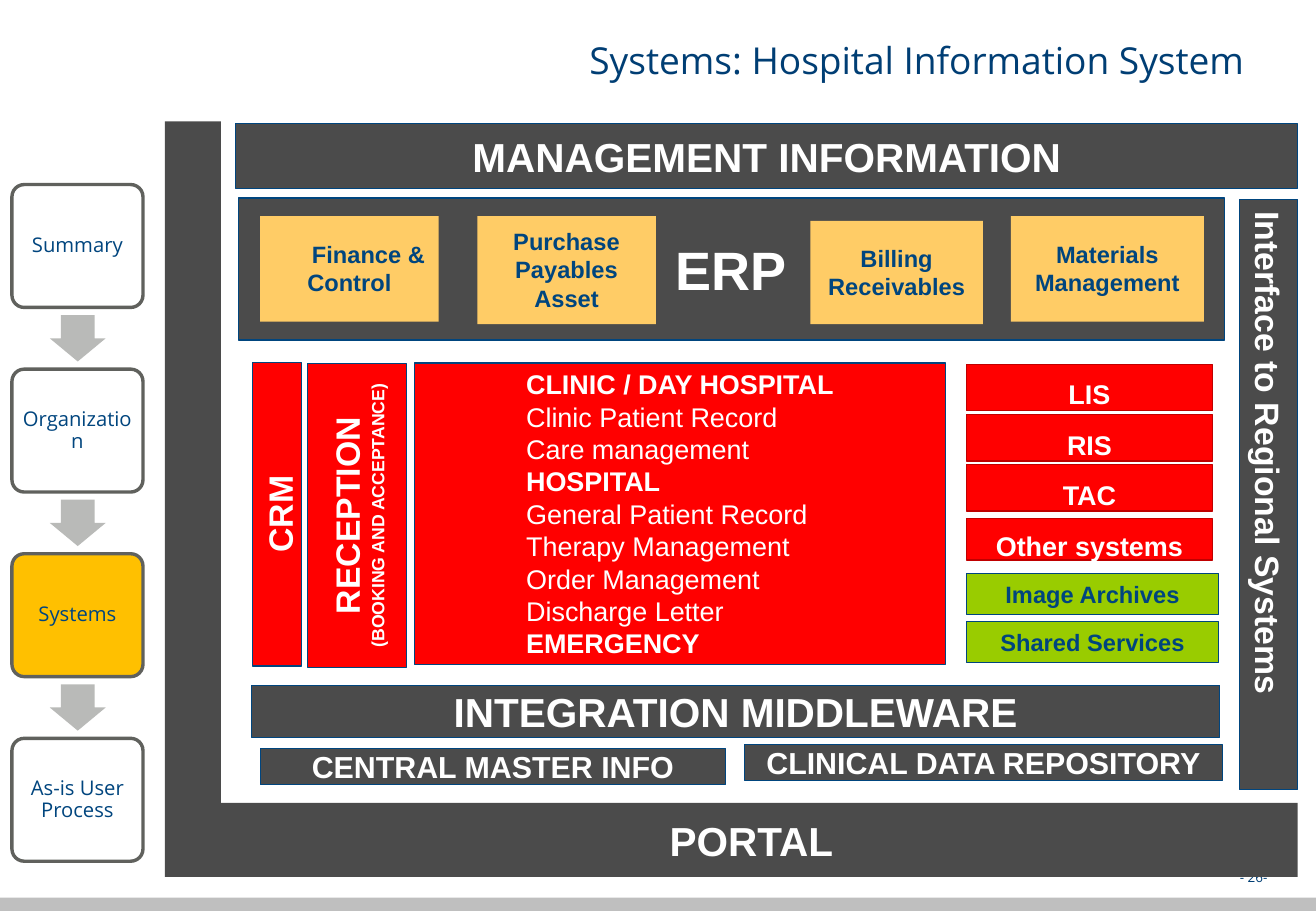
from pptx import Presentation
from pptx.util import Cm, Pt
from pptx.dml.color import RGBColor as RGB
from pptx.enum.shapes import MSO_SHAPE as Kind
from pptx.enum.text import PP_ALIGN as Align, MSO_ANCHOR as Anchor, MSO_AUTO_SIZE as Fit

WHITE = RGB(0xFF, 0xFF, 0xFF)
DARK = RGB(0x4B, 0x4B, 0x4B)
NAVY = RGB(0x00, 0x3E, 0x74)
BLUE = RGB(0x00, 0x45, 0x7E)
RED = RGB(0xFF, 0x00, 0x00)
WINE = RGB(0xC0, 0x00, 0x00)
SAND = RGB(0xFF, 0xCC, 0x66)
GREEN = RGB(0x99, 0xCC, 0x00)
AMBER = RGB(0xFF, 0xC0, 0x00)
EDGE = RGB(0x60, 0x61, 0x5D)
ARROW = RGB(0xB9, 0xBA, 0xB8)
STRIP = RGB(0xBF, 0xBF, 0xBF)
WIDE, HIGH = 27.51, 19.05


def write(shape, text, size=24, color=WHITE, bold=True, font="Arial", align=Align.CENTER,
          anchor=Anchor.MIDDLE, inset=(0, 0, 0, 0), space=None, indent=0):
    """Fill a shape with one paragraph per line of text."""
    frame = shape.text_frame
    frame.text = text
    frame.word_wrap = True
    frame.auto_size = Fit.NONE
    frame.vertical_anchor = anchor
    (frame.margin_left, frame.margin_top,
     frame.margin_right, frame.margin_bottom) = map(Cm, inset)
    for para in frame.paragraphs:
        para.alignment = align
        para.line_spacing = space
        if indent:
            para._p.get_or_add_pPr().set("indent", str(Cm(indent)))
        for run in para.runs:
            run.font.size = Pt(size)
            run.font.name = font
            run.font.bold = bold
            run.font.color.rgb = color
    return frame


def block(slide, x, y, w, h, fill=DARK, line=None, width=0.75, kind=Kind.RECTANGLE, turn=0):
    shape = slide.shapes.add_shape(kind, Cm(x), Cm(y), Cm(w), Cm(h))
    shape.shadow.inherit = False
    shape.fill.solid()
    shape.fill.fore_color.rgb = fill
    if line is None:
        shape.line.fill.background()
    else:
        shape.line.color.rgb = line
        shape.line.width = Pt(width)
    shape.rotation = turn
    return shape


def label(slide, text, x, y, w, h, fill=DARK, line=BLUE, turn=0, **style):
    shape = block(slide, x, y, w, h, fill, line, turn=turn)
    return write(shape, text, **style)


def header(slide, x, y, w, h):
    title = slide.shapes.title
    title.left, title.top, title.width, title.height = map(Cm, (x, y, w, h))
    write(title, "Systems: Hospital Information System", size=22, color=NAVY, bold=False,
          font="Open Sans", align=Align.RIGHT, anchor=Anchor.TOP,
          inset=(0.25, 0.1, 0.25, 0.1), space=1.05)


def footer(slide, x, y, w, h):
    block(slide, x, y, w, h, STRIP)
    page = slide.shapes.add_textbox(Cm(x + w - 4.95), Cm(y - 0.63), Cm(4.14), Cm(0.41))
    write(page, "- 26-", size=8, color=NAVY, bold=False, font="Open Sans", align=Align.RIGHT,
          inset=(0, 0, 0.2, 0))


def steps(slide, x, y, w, h):
    """Four steps down the side, with an arrow between each pair."""
    names = ["Summary", "Organization", "Systems", "As-is User Process"]
    tall = 2.57
    pitch = (h - tall) / (len(names) - 1)
    for i, name in enumerate(names):
        top = y + i * pitch
        if i:
            block(slide, x + w / 2 - 0.48, top - 1.23, 0.97, 1.17, ARROW,
                  kind=Kind.RIGHT_ARROW, turn=90).adjustments[0] = 0.6
        card = block(slide, x, top, w, tall, AMBER if name == "Systems" else WHITE,
                     EDGE, 2, Kind.ROUNDED_RECTANGLE)
        card.adjustments[0] = 0.1
        write(card, name, size=12, color=BLUE, bold=False, font="Open Sans",
              inset=(0.13,) * 4, space=0.9)


def border(slide, x, y, w, h):
    """Dark column, portal bar, top bar and regional bar around the map."""
    block(slide, x, y, 1.17, h)
    label(slide, "PORTAL", x + 0.84, y + h - 1.55, w - 0.84, 1.55, line=None)
    label(slide, "MANAGEMENT INFORMATION", x + 1.48, y + 0.05, w - 1.48, 1.35)
    side = label(slide, "Interface to Regional Systems", x + w - 1.22, y + 1.63, 1.22, 12.34,
                 size=20, align=Align.LEFT, inset=(0.13, 0.25, 0.13, 0.25))
    side._txBody.bodyPr.set("vert", "eaVert")


def finance(slide, x, y, w, h):
    """ERP band with its four modules."""
    label(slide, "ERP", x, y, w, h, size=32)
    modules = [("Finance & Control", 0.46, 0.38, 3.73, 2.21, 0.8),
               ("Purchase\nPayables\nAsset", 5, 0.38, 3.73, 2.26, 0),
               ("Billing\nReceivables", 11.96, 0.48, 3.61, 2.16, 0),
               ("Materials Management", 16.15, 0.38, 4.04, 2.21, 0)]
    for name, dx, dy, wide, tall, indent in modules:
        # Narrow side margins keep the longest word on one line
        label(slide, name, x + dx, y + dy, wide, tall, SAND, None, size=14, color=BLUE,
              inset=(0.2, 0.1, 0.2, 0.13), indent=indent)


def care(slide, x, y, w, h):
    """Patient-facing systems: upright bars, and the clinical list."""
    label(slide, "CRM", x - 2.67, y + 2.65, 6.35, 1.02, RED, turn=270, size=20,
          anchor=Anchor.TOP, inset=(0.25, 0.13, 0.25, 0.13))
    desk = label(slide, "RECEPTION\n(BOOKING AND ACCEPTANCE)", x - 1, y + 2.16, 6.35, 2.06,
                 RED, turn=270, size=20)
    desk.paragraphs[1].runs[0].font.size = Pt(10.5)
    records = ["CLINIC / DAY HOSPITAL", "Clinic Patient Record", "Care management", "HOSPITAL",
               "General Patient Record", "Therapy Management", "Order Management",
               "Discharge Letter", "EMERGENCY"]
    body = label(slide, "\n".join(records), x + 3.37, y, w - 3.37, h, RED, size=16,
                 align=Align.LEFT, inset=(2.34, 0.13, 0.25, 0.13))
    for para in body.paragraphs:
        run = para.runs[0]
        run.font.bold = run.text.isupper()


def units(slide, x, y, w):
    """Departmental systems in red, shared ones in green."""
    rows = [("LIS", 0, 0.97), ("RIS", 1.05, 0.97), ("TAC", 2.1, 0.97),
            ("Other systems", 3.23, 0.86)]
    for name, dy, tall in rows:
        label(slide, name, x, y + dy, w, tall, RED, WINE, size=16, space=1.4)
    for i, name in enumerate(["Image Archives", "Shared Services"]):
        label(slide, name, x, y + 4.37 + i * 1.01, w + 0.13, 0.86, GREEN, size=14, color=BLUE)


def base(slide, x, y, w):
    """Middleware bar above the two data stores."""
    label(slide, "INTEGRATION MIDDLEWARE", x, y, w, 1.09)
    label(slide, "CENTRAL MASTER INFO", x + 0.18, y + 1.32, 9.73, 0.76, size=18)
    label(slide, "CLINICAL DATA REPOSITORY", x + 10.31, y + 1.24, 9.98, 0.76, size=18)


def main():
    deck = Presentation()
    deck.slide_width, deck.slide_height = Cm(WIDE), Cm(HIGH)
    slide = deck.slides.add_slide(deck.slide_layouts[5])
    header(slide, 4.06, 0.64, 22.2, 2.69)
    footer(slide, 0, HIGH - 0.28, WIDE, 0.28)
    border(slide, 3.45, 2.54, 23.68, 15.8)
    finance(slide, 4.98, 4.14, 20.62, 2.97)
    care(slide, 5.29, 7.59, 14.47, 6.3)
    units(slide, 20.2, 7.62, 5.15)
    base(slide, 5.26, 14.33, 20.24)
    steps(slide, 0.25, 3.86, 2.74, 14.15)
    deck.save("out.pptx")


if __name__ == "__main__":
    main()
